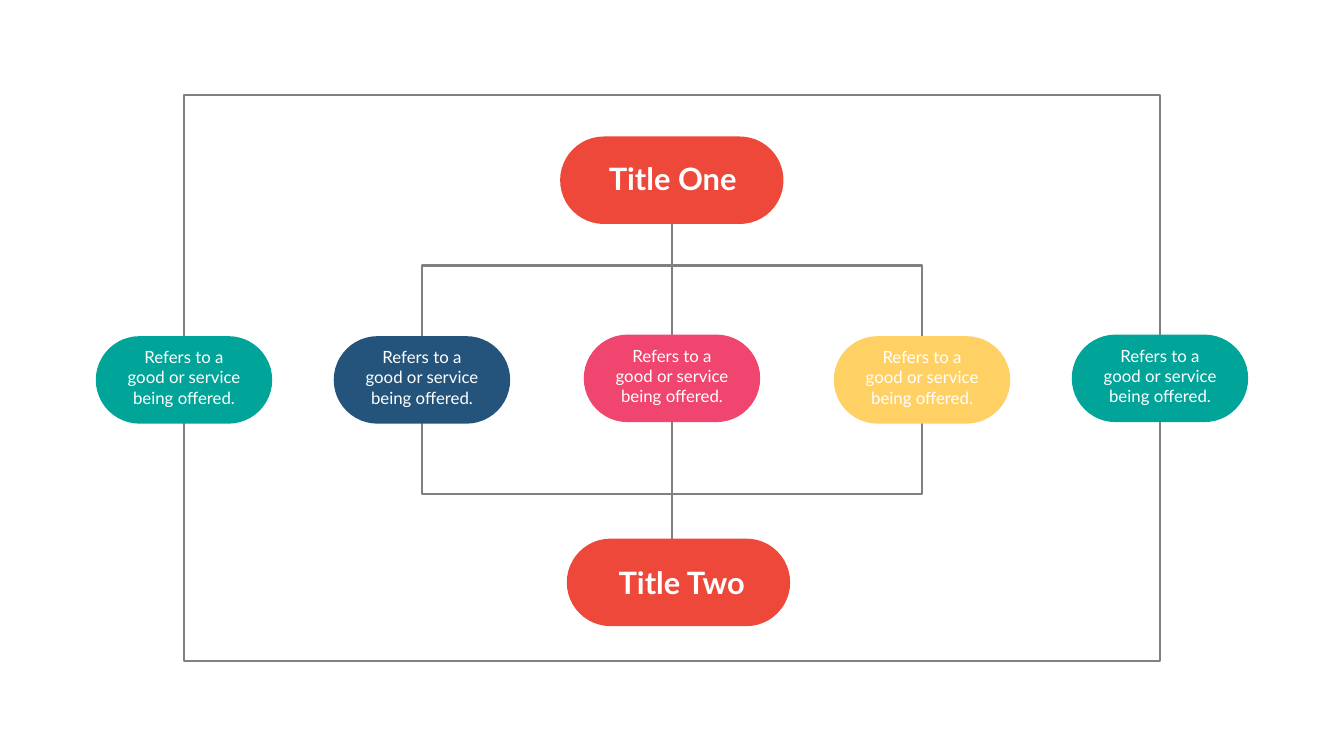
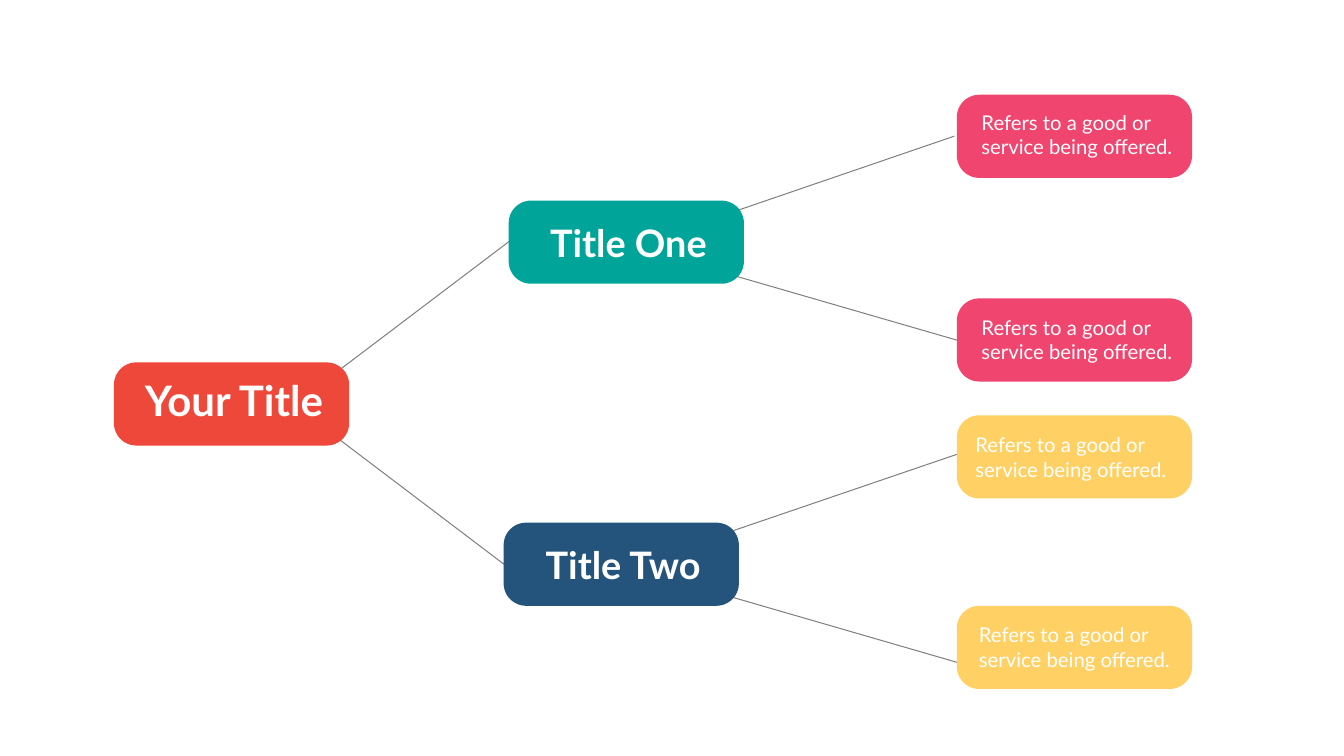
from dataclasses import dataclass

from pptx import Presentation
from pptx.dml.color import RGBColor as RGB
from pptx.enum.shapes import MSO_CONNECTOR as CONNECTOR, MSO_SHAPE as SHAPE
from pptx.enum.text import MSO_AUTO_SIZE as AUTO_SIZE, PP_ALIGN as ALIGN
from pptx.oxml.xmlchemy import OxmlElement
from pptx.util import Pt


@dataclass(frozen=True)
class Theme:
    font: str = "Lato"
    red: RGB = RGB.from_string("ED4839")
    teal: RGB = RGB.from_string("00A499")
    navy: RGB = RGB.from_string("24547C")
    pink: RGB = RGB.from_string("EF456E")
    yellow: RGB = RGB.from_string("FFD165")
    gray: RGB = RGB.from_string("808080")
    white: RGB = RGB.from_string("FFFFFF")
    root_size: int = 60
    branch_size: int = 54
    title_size: int = 44
    leaf_size: int = 29
    note_size: int = 24
    thick: float = 3.46
    thin: float = 1.45


theme = Theme()
DESCRIPTION = "Refers to a good or service being offered."


def add_link(slide, start, end, weight):
    link = slide.shapes.add_connector(CONNECTOR.STRAIGHT, *map(Pt, start + end))
    link.line.color.rgb = theme.gray
    link.line.width = Pt(weight)
    link._element.spPr.append(OxmlElement("a:effectLst"))


def add_node(slide, box, radius, fill, text, text_box, size, bold=False, align=ALIGN.CENTER):
    node = slide.shapes.add_shape(SHAPE.ROUNDED_RECTANGLE, *map(Pt, box))
    node.adjustments[0] = radius
    node.shadow.inherit = False
    node.fill.solid()
    node.fill.fore_color.rgb = fill
    node.line.fill.background()

    label = slide.shapes.add_textbox(*map(Pt, text_box))
    frame = label.text_frame
    frame.word_wrap = not bold
    frame.auto_size = AUTO_SIZE.SHAPE_TO_FIT_TEXT
    paragraph = frame.paragraphs[0]
    paragraph.text = text
    paragraph.alignment = align
    paragraph.font.name = theme.font
    paragraph.font.size = Pt(size)
    paragraph.font.bold = bold
    paragraph.font.color.rgb = theme.white


deck = Presentation()
deck.slide_width = Pt(1919.52)
deck.slide_height = Pt(1080)
blank = deck.slide_layouts[6]

loop_slide = deck.slides.add_slide(blank)

for trunk_top, trunk_bottom in [(316, 480), (590, 769.5)]:
    add_link(loop_slide, (959.76, trunk_top), (959.76, trunk_bottom), theme.thick)

brackets = [
    (602.64, 1316.88, 602.64, 706),
    (602.64, 1316.88, 483, 379.5),
    (262.8, 1656.72, 483, 136),
    (262.8, 1656.72, 597, 944),
]
for left, right, open_y, bar_y in brackets:
    outline = loop_slide.shapes.build_freeform(Pt(left), Pt(open_y))
    corners = [(left, bar_y), (right, bar_y), (right, open_y)]
    outline.add_line_segments([(Pt(x), Pt(y)) for x, y in corners], close=False)
    bracket = outline.convert_to_shape()
    bracket.shadow.inherit = False
    bracket.fill.background()
    bracket.line.color.rgb = theme.gray
    bracket.line.width = Pt(theme.thick)

pill_height = 125
titles = [
    ("Title One", 800, 195, 861, 224, 199.5),
    ("Title Two", 809.5, 769.5, 872.5, 801.5, 202.5),
]
for title, left, top, text_left, text_top, text_width in titles:
    add_node(loop_slide, (left, top, 319, pill_height), 0.5, theme.red, title,
             (text_left, text_top, text_width, 60.5), theme.title_size, bold=True)

offers = [
    (136.8, 480.24, theme.teal),
    (476.64, 480.24, theme.navy),
    (833.76, 478, theme.pink),
    (1190.88, 480.24, theme.yellow),
    (1530.72, 478, theme.teal),
]
for left, top, color in offers:
    add_node(loop_slide, (left, top, 252, pill_height), 0.5, color, DESCRIPTION,
             (left + 37, top + 12, 178, 94), theme.note_size)

tree_slide = deck.slides.add_slide(blank)

branch_links = [
    ((1363, 194.5), (1055, 300)),
    ((1367, 486), (1051, 394.5)),
    ((733, 340.5), (487.5, 526.5)),
    ((1380, 644.5), (1047.5, 758)),
    ((1376.5, 949), (1043.5, 852.5)),
    ((481, 625), (725, 810)),
]
for start, end in branch_links:
    add_link(tree_slide, start, end, theme.thin)

card_width, card_height, card_radius = 336, 118.8, 0.27
headings = [
    ("Your Title", 162.72, 517.68, theme.red, (194.4, 532, 279.5, 80), theme.root_size),
    ("Title One", 726.48, 286.56, theme.teal, (777, 309.6, 241, 72.7), theme.branch_size),
    ("Title Two", 719.28, 746.64, theme.navy, (767.5, 769.7, 245, 72.7), theme.branch_size),
]
for heading, left, top, color, text_box, size in headings:
    add_node(tree_slide, (left, top, card_width, card_height), card_radius, color,
             heading, text_box, size, bold=True)

leaves = [
    (135.36, theme.pink, 1394.64, 153.36),
    (426.24, theme.pink, 1394.64, 446.4),
    (593.28, theme.yellow, 1386, 614.16),
    (865.44, theme.yellow, 1391, 885.6),
]
for top, color, text_left, text_top in leaves:
    add_node(tree_slide, (1366.56, top, card_width, card_height), card_radius, color,
             DESCRIPTION, (text_left, text_top, 297.4, 77.8), theme.leaf_size,
             align=ALIGN.LEFT)

deck.save("out.pptx")
